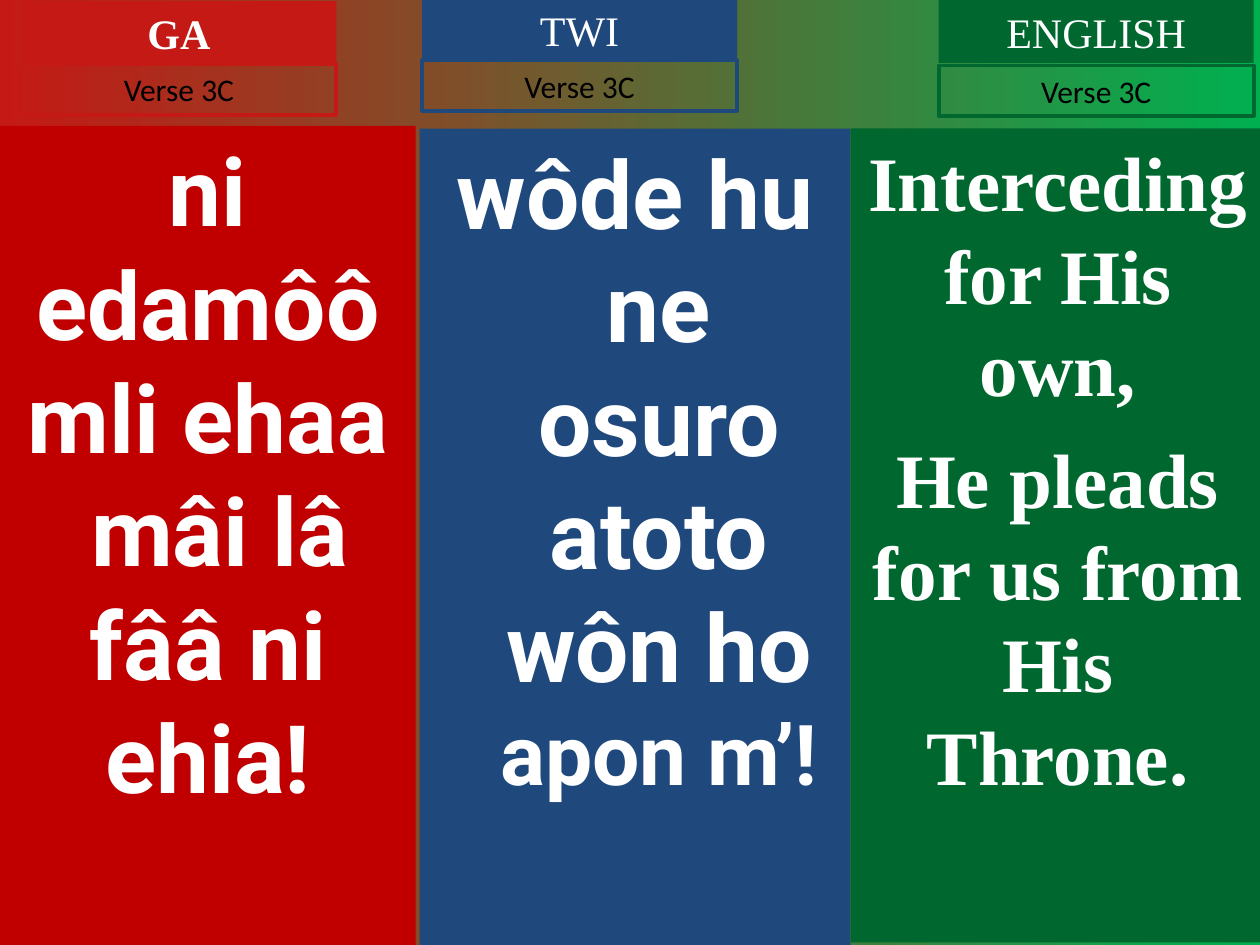
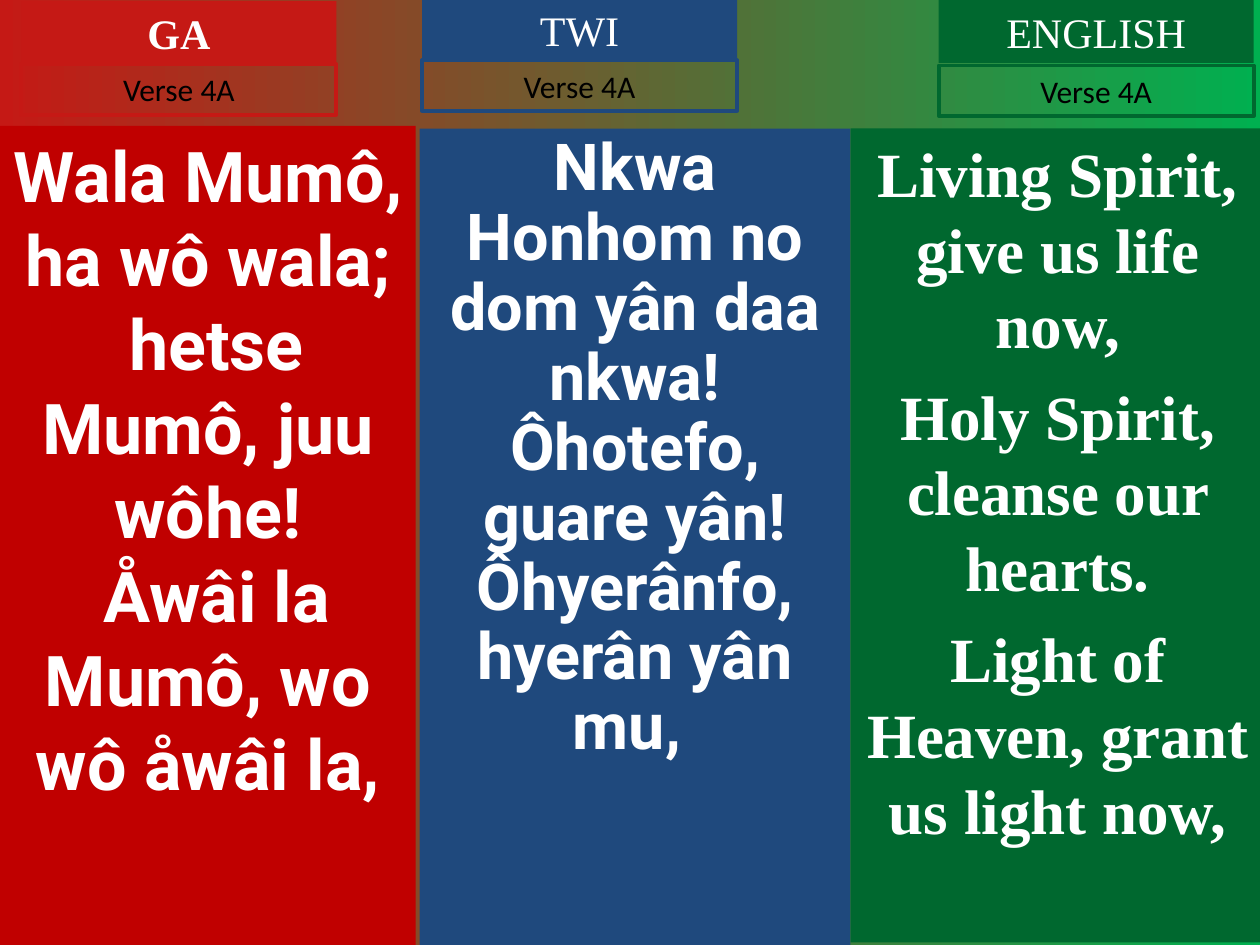
from dataclasses import dataclass

from pptx import Presentation
from pptx.dml.color import RGBColor
from pptx.enum.shapes import MSO_SHAPE
from pptx.enum.text import MSO_ANCHOR, MSO_AUTO_SIZE, PP_ALIGN
from pptx.util import Inches, Pt

COLS, ROWS = 100, 75


@dataclass(frozen=True)
class Theme:
    """Colours, fonts and type sizes of the deck."""
    red: str = "C51915"
    deep: str = "C00000"
    blue: str = "1F497D"
    green: str = "00682F"
    light: str = "00B050"
    white: str = "FFFFFF"
    black: str = "000000"
    serif: str = "Times New Roman"
    sans: str = "Roboto"
    plain: str = "Calibri"
    head: int = 24
    label: int = 18
    edge: float = 2.25


@dataclass(frozen=True)
class Lane:
    """One language column: its colours, font and boxes in grid units."""
    name: str
    tint: str
    panel: str
    font: str
    body: tuple
    left: float
    top: float
    gap: float
    bold: bool = False


@dataclass(frozen=True)
class Verse:
    """The lines of one language and their spacing."""
    lines: tuple
    size: int
    space: int = 0
    lead: float = 1.0
    hang: float = 0
    tail: str = ""
    small: int = 0


LOOK = Theme()
LANES = (
    Lane("GA", LOOK.red, LOOK.deep, LOOK.sans, (0, 10, 33, 65), 1.7, 0.1, 5, True),
    Lane("TWI", LOOK.blue, LOOK.blue, LOOK.sans, (33.3, 10.2, 34.2, 64.8), 33.5, -0.1, 4.9),
    Lane("ENGLISH", LOOK.green, LOOK.green, LOOK.serif, (67.5, 10.2, 32.9, 64.6), 74.5, 0, 5.2),
)
SONG = (
    ("Verse 3C", (
        Verse(("ni edamôô mli ehaa", " mâi lâ fââ ni ehia!"), 54),
        Verse(("wôde hu ne osuro atoto wôn ho ",), 54, hang=0.38, tail="apon m’!", small=48),
        Verse(("Interceding for His own,", "He pleads for us from His Throne."), 44, space=11),
    )),
    ("Verse 4A", (
        Verse(("Wala Mumô, ha wô wala;", " hetse Mumô, juu wôhe!",
               " Åwâi la Mumô, wo wô åwâi la,"), 40),
        Verse(("Nkwa Honhom no dom yân daa nkwa!", "Ôhotefo, guare yân!",
               "Ôhyerânfo, hyerân yân mu, "), 37, lead=0.9),
        Verse(("Living Spirit, give us life now,", "Holy Spirit, cleanse our hearts.",
               "Light of Heaven, grant us light now,"), 36, space=9),
    )),
)


def place(deck, box):
    """Turn a box in grid units into slide lengths."""
    wide, high = deck.slide_width / COLS, deck.slide_height / ROWS
    return [round(part * unit) for part, unit in zip(box, (wide, high, wide, high))]


def block(deck, slide, box, fill=None, line=None):
    """Draw a flat box with top-set text and return it."""
    shape = slide.shapes.add_shape(MSO_SHAPE.RECTANGLE, *place(deck, box))
    shape.shadow.inherit = False
    if fill:
        shape.fill.solid()
        shape.fill.fore_color.rgb = RGBColor.from_string(fill)
    else:
        shape.fill.background()
    if line:
        shape.line.color.rgb = RGBColor.from_string(line)
        shape.line.width = Pt(LOOK.edge)
    else:
        shape.line.fill.background()
    shape.text_frame.word_wrap = True
    shape.text_frame.vertical_anchor = MSO_ANCHOR.TOP
    return shape


def style(para, font, size, tint, bold=False):
    """Centre a paragraph and set its font."""
    para.alignment = PP_ALIGN.CENTER
    para.font.name = font
    para.font.size = Pt(size)
    para.font.bold = bold
    para.font.color.rgb = RGBColor.from_string(tint)


def heading(deck, slide, lane, label):
    """Place the language name above its verse label."""
    name = block(deck, slide, (lane.left, lane.top, 25, 5), fill=lane.tint)
    mark = block(deck, slide, (lane.left, lane.top + lane.gap, 25, 4), line=lane.tint)
    for shape, text in ((name, lane.name), (mark, label)):
        shape.text_frame.text = text
        shape.text_frame.auto_size = MSO_AUTO_SIZE.SHAPE_TO_FIT_TEXT
    style(name.text_frame.paragraphs[0], LOOK.serif, LOOK.head, LOOK.white, lane.bold)
    style(mark.text_frame.paragraphs[0], LOOK.plain, LOOK.label, LOOK.black)


def panel(deck, slide, lane, verse):
    """Fill a language panel with its verse."""
    frame = block(deck, slide, lane.body, fill=lane.panel).text_frame
    frame.text = "\n".join(verse.lines)
    for order, para in enumerate(frame.paragraphs):
        style(para, lane.font, verse.size, LOOK.white, True)
        para.line_spacing = verse.lead
        para.space_before = Pt(verse.space if order else 0)
        if verse.hang:
            props = para._p.get_or_add_pPr()
            props.set("marL", str(Inches(verse.hang)))
            props.set("indent", str(-Inches(verse.hang)))
    if verse.tail:
        run = frame.paragraphs[-1].add_run()
        run.text = verse.tail
        run.font.size = Pt(verse.small)


def backdrop(slide):
    """Run the background from red to green, left to right."""
    fill = slide.background.fill
    fill.gradient()
    fill.gradient_angle = 0
    for stop, tint in zip(fill.gradient_stops, (LOOK.red, LOOK.light)):
        stop.color.rgb = RGBColor.from_string(tint)


def page(deck, label, verses):
    """Build one verse slide in three languages."""
    slide = deck.slides.add_slide(deck.slide_layouts[6])
    backdrop(slide)
    for lane, verse in zip(LANES, verses):
        panel(deck, slide, lane, verse)
        heading(deck, slide, lane, label)


def main():
    """Build and save the deck."""
    deck = Presentation()
    deck.slide_width, deck.slide_height = Inches(10), Inches(7.5)
    for label, verses in SONG:
        page(deck, label, verses)
    deck.save("out.pptx")


if __name__ == "__main__":
    main()
